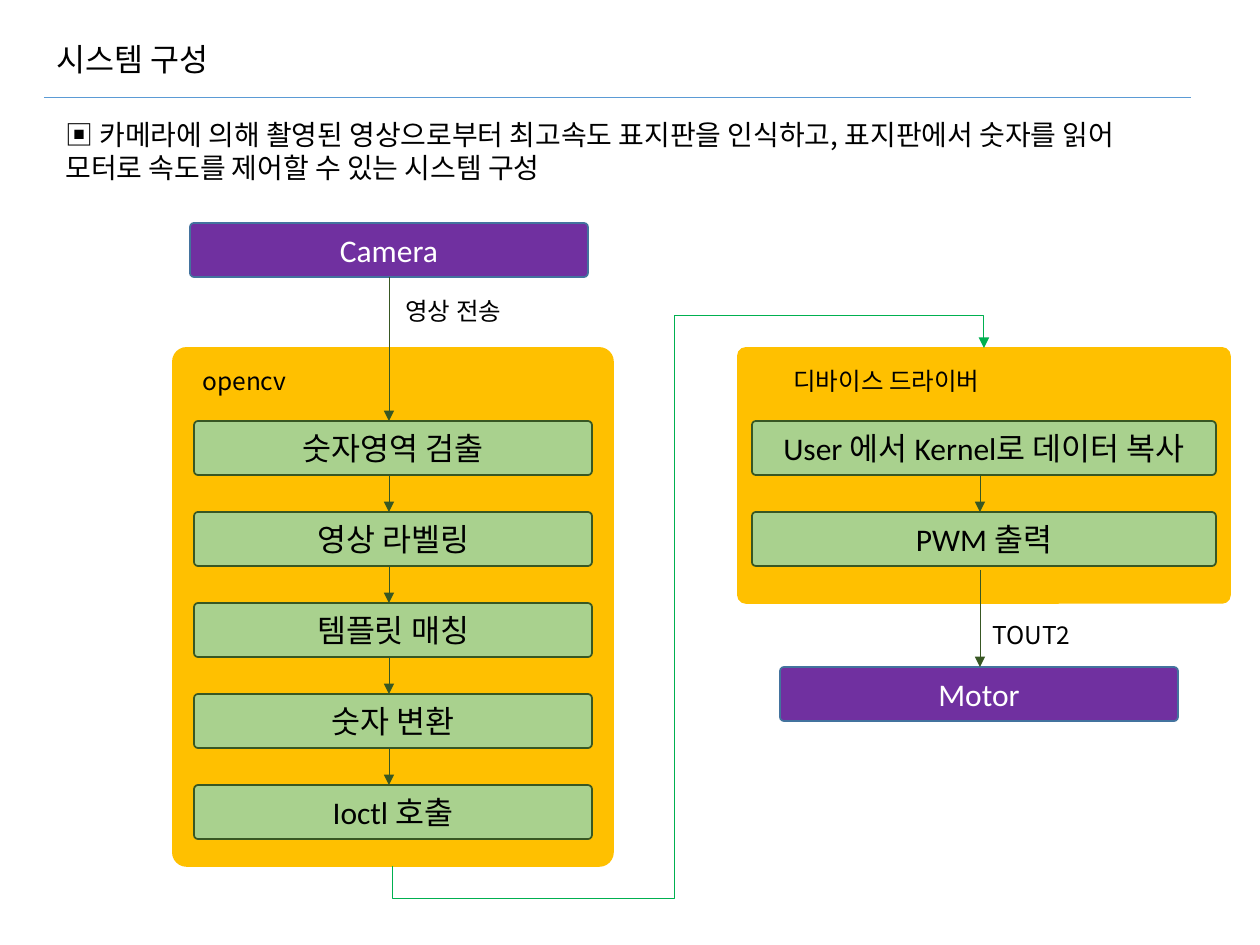
from lxml import etree
from pptx import Presentation
from pptx.dml.color import RGBColor
from pptx.enum.shapes import MSO_CONNECTOR, MSO_SHAPE
from pptx.enum.text import MSO_ANCHOR, MSO_AUTO_SIZE, PP_ALIGN
from pptx.oxml.ns import qn
from pptx.util import Emu, Pt

STRAIGHT, ELBOW = MSO_CONNECTOR.STRAIGHT, MSO_CONNECTOR.ELBOW
ROUNDED = MSO_SHAPE.ROUNDED_RECTANGLE
LEFT, CENTER = PP_ALIGN.LEFT, PP_ALIGN.CENTER
TOP, MIDDLE = MSO_ANCHOR.TOP, MSO_ANCHOR.MIDDLE
GROW, FIXED = MSO_AUTO_SIZE.SHAPE_TO_FIT_TEXT, MSO_AUTO_SIZE.NONE
KOREAN, LATIN = "Noto Sans CJK KR", "Calibri"
BLACK, WHITE, BLUE = "000000", "FFFFFF", "5B9BD5"
AMBER, GREEN, DARK_GREEN = "FFC000", "A9D18E", "385723"
PURPLE, PURPLE_EDGE, LINK = "7030A0", "43739E", "00B050"
BOX_WIDTH, BOX_HEIGHT, PITCH = 398, 54, 91
STEPS_TOP, LABEL_HEIGHT = 73, 43


def px(*values):
    """Turn pixel lengths into EMU at 126 pixels to the inch."""
    return [Emu(round(value * 914400 / 126)) for value in values]


def color(hex_string):
    """Return the colour for a hex string."""
    return RGBColor.from_string(hex_string)


def write(shape, text, size=18, font=LATIN, fill=BLACK, align=LEFT,
          anchor=TOP, wrap=True, fit=FIXED):
    """Write one formatted paragraph into a shape."""
    frame = shape.text_frame
    frame.word_wrap, frame.auto_size, frame.vertical_anchor = wrap, fit, anchor
    paragraph = frame.paragraphs[0]
    paragraph.alignment = align
    run = paragraph.add_run()
    run.text = text
    run.font.size, run.font.name = Pt(size), font
    run.font.color.rgb = color(fill)
    east_asian = etree.SubElement(run.font._element, qn("a:ea"))
    east_asian.set("typeface", KOREAN)


def add_label(slide, text, left, top, width, height=LABEL_HEIGHT, size=14, wrap=False):
    """Add a plain text box."""
    shape = slide.shapes.add_textbox(*px(left, top, width, height))
    write(shape, text, size=size, font=KOREAN, wrap=wrap, fit=GROW)


def add_box(slide, left, top, width, height, fill, edge, rounding=0.074):
    """Add a filled rounded box."""
    shape = slide.shapes.add_shape(ROUNDED, *px(left, top, width, height))
    shape.adjustments[0] = rounding
    shape.shadow.inherit = False
    shape.fill.solid()
    shape.fill.fore_color.rgb = color(fill)
    shape.line.color.rgb = color(edge)
    shape.line.width = Pt(1)
    return shape


def add_device(slide, text, left, top):
    """Add a purple hardware box."""
    shape = add_box(slide, left, top, BOX_WIDTH, BOX_HEIGHT, PURPLE, PURPLE_EDGE)
    write(shape, text, fill=WHITE, align=CENTER, anchor=MIDDLE)


def add_line(slide, start, end, stroke=DARK_GREEN, kind=STRAIGHT, arrow=True):
    """Add a thin connector, with an arrowhead at its end if wanted."""
    connector = slide.shapes.add_connector(kind, *px(*start, *end))
    connector.line.color.rgb = color(stroke)
    connector.line.width = Pt(0.5)
    if arrow:
        etree.SubElement(connector.line._get_or_add_ln(), qn("a:tailEnd"), type="triangle")
    etree.SubElement(connector._element.spPr, qn("a:effectLst"))
    return connector


def add_link(slide, start, end, overshoot, middle):
    """Add a five-part elbow that leaves downward and enters from above."""
    width, height = end[0] - start[0], start[1] - end[1]
    center_x, center_y = (start[0] + end[0]) / 2, (start[1] + end[1]) / 2
    connector = add_line(
        slide, (center_x + height / 2, center_y + width / 2),
        (center_x - height / 2, center_y - width / 2), stroke=LINK, kind=ELBOW)
    properties = connector._element.spPr
    properties.find(qn("a:xfrm")).set("rot", "5400000")
    geometry = properties.find(qn("a:prstGeom"))
    geometry.set("prst", "bentConnector5")
    guides = geometry.get_or_add_avLst()
    bends = (-overshoot / height, (middle - start[0]) / width, 1 + overshoot / height)
    for number, bend in enumerate(bends, 1):
        etree.SubElement(guides, qn("a:gd"), name=f"adj{number}",
                         fmla=f"val {round(bend * 100000)}")


def add_panel(slide, box, label, label_left, label_width, steps,
              step_left, step_width, arrow_left):
    """Add an amber panel with a label and a chain of steps."""
    left, top, width, height = box
    add_box(slide, *box, AMBER, AMBER, rounding=0.031)
    add_label(slide, label, left + label_left, top + 12, label_width)
    for index, text in enumerate(steps):
        step_top = top + STEPS_TOP + index * PITCH
        shape = add_box(slide, left + step_left, step_top, step_width, BOX_HEIGHT,
                        GREEN, DARK_GREEN)
        write(shape, text, align=CENTER, anchor=MIDDLE)
        if index:
            arrow_x = left + arrow_left
            add_line(slide, (arrow_x, step_top - PITCH + BOX_HEIGHT), (arrow_x, step_top))


def add_header(slide, left, top, width):
    """Place the title, its rule and the summary."""
    title = slide.shapes.title
    title.left, title.top, title.width, title.height = px(left, top, 195, 50)
    write(title, "시스템 구성", font=KOREAN, wrap=False, fit=GROW)
    add_line(slide, (left, top + 63), (left + width, top + 63), stroke=BLUE, arrow=False)
    add_label(slide, "▣ 카메라에 의해 촬영된 영상으로부터 최고속도 표지판을 인식하고, "
              "표지판에서 숫자를 읽어 모터로 속도를 제어할 수 있는 시스템 구성",
              left + 9, top + 77, 1139, height=81, size=16, wrap=True)


def add_vision(slide, left, top):
    """Place the camera and the image processing panel."""
    panel_top = top + 125
    add_device(slide, "Camera", left + 17, top)
    add_panel(slide, (left, panel_top, 440, 518), "opencv", 17, 121,
              ["숫자영역 검출", "영상 라벨링", "템플릿 매칭", "숫자 변환", "Ioctl 호출"],
              21, BOX_WIDTH, 216)
    add_line(slide, (left + 216, top + BOX_HEIGHT), (left + 216, panel_top + STEPS_TOP))
    add_label(slide, "영상 전송", left + 220, top + 67, 132)


def add_driver(slide, left, top):
    """Place the device driver panel and the motor."""
    add_panel(slide, (left, top, 492, 255), "디바이스 드라이버", 43, 232,
              ["User 에서 Kernel로 데이터 복사", "PWM 출력"], 14, 464, 242)
    add_device(slide, "Motor", left + 42, top + 319)
    add_line(slide, (left + 242, top + 222), (left + 242, top + 319))
    add_label(slide, "TOUT2", left + 242, top + 266, 116)


def main():
    """Build and save the slide."""
    presentation = Presentation()
    presentation.slide_width, presentation.slide_height = px(1260, 945)
    slide = presentation.slides.add_slide(presentation.slide_layouts[5])
    add_header(slide, 44, 34, 1147)
    add_vision(slide, 173, 223)
    add_driver(slide, 738, 348)
    add_link(slide, (393, 866), (984, 348), overshoot=32, middle=675)
    presentation.save("out.pptx")


if __name__ == "__main__":
    main()
